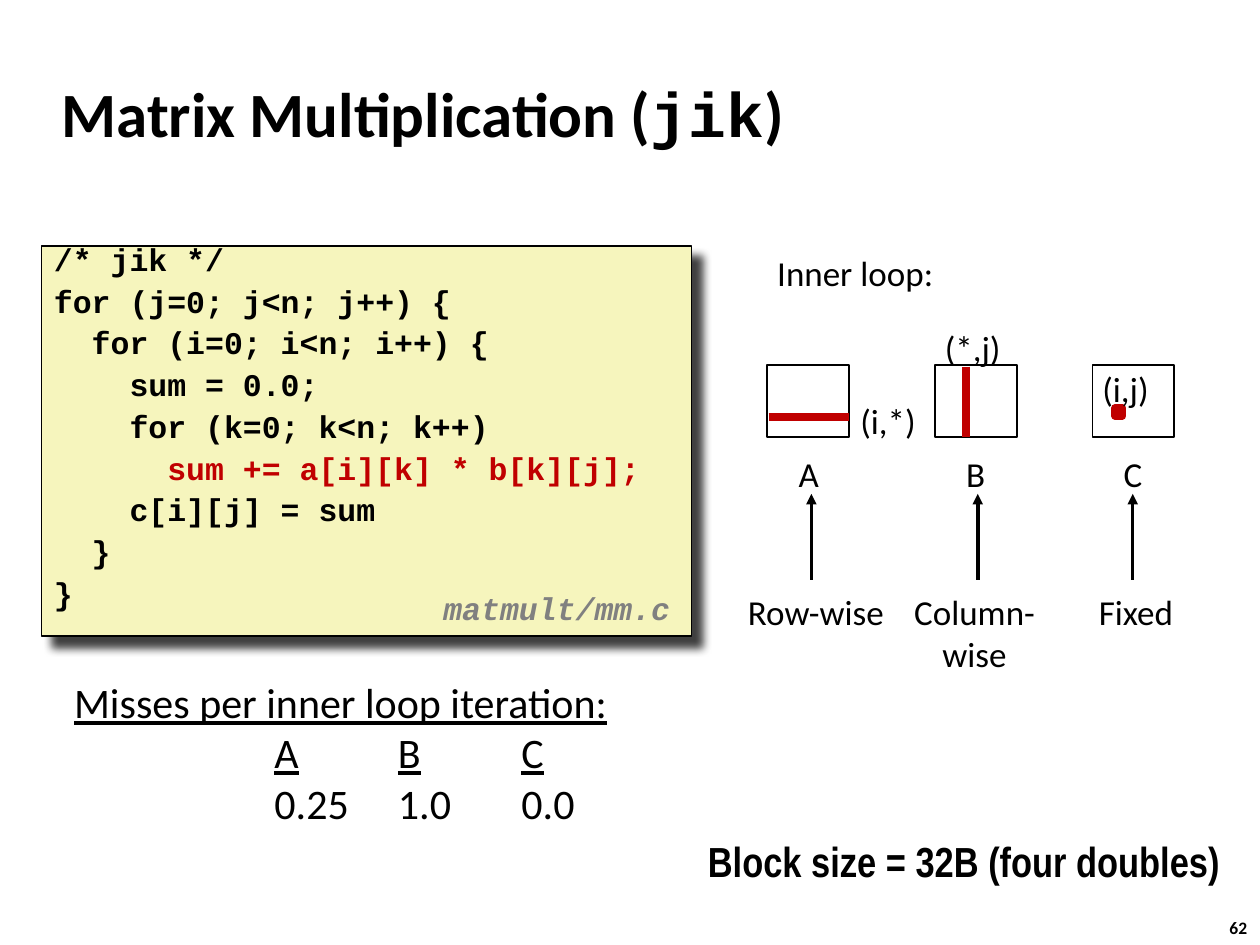
"""Build the slide on matrix multiplication in jik order."""
from pptx import Presentation, util as u
from pptx.dml import color
from pptx.enum import shapes, text
from pptx.oxml import ns, parse_xml

COLORS = {"black": "000000", "white": "FFFFFF", "cream": "F6F5BD",
          "red": "C00000", "bright": "FF0000", "gray": "808080"}
COLUMNS, ROWS = 100, 75
MONO = "Courier New"


class SlideBuilder:
    """Draw styled elements on a grid of columns and rows."""

    def __init__(self, presentation):
        self.slide = presentation.slides.add_slide(presentation.slide_layouts[6])
        self.column = presentation.slide_width / COLUMNS
        self.row = presentation.slide_height / ROWS

    def grid(self, *lengths):
        units = (self.column, self.row) * 2
        return [round(length * unit) for length, unit in zip(lengths, units)]

    def rgb(self, name):
        return color.RGBColor.from_string(COLORS[name])

    def style(self, run, size=20, font="Calibri", fill="black", bold=False,
              italic=False, underline=False):
        run.font.size, run.font.name = u.Pt(size), font
        run.font.bold, run.font.italic, run.font.underline = bold, italic, underline
        run.font.color.rgb = self.rgb(fill)

    def add_lines(self, frame, lines, align=text.PP_ALIGN.LEFT, spacing=None, before=0,
                  tabs=(), **style):
        for index, line in enumerate(lines):
            paragraph = frame.paragraphs[0] if index == 0 else frame.add_paragraph()
            paragraph.alignment = align
            if spacing:
                paragraph.line_spacing = spacing
            if index:
                paragraph.space_before = u.Pt(before)
            if tabs:
                stops = "".join(f'<a:tab pos="{round(tab * self.column)}" algn="l"/>'
                                for tab in tabs)
                paragraph._p.get_or_add_pPr().append(parse_xml(
                    f"<a:tabLst {ns.nsdecls('a')}>{stops}</a:tabLst>"))
            for words, changes in [(line, {})] if isinstance(line, str) else line:
                run = paragraph.add_run()
                run.text = words
                self.style(run, **{**style, **changes})

    def text(self, box, lines, wrap=False, anchor=text.MSO_ANCHOR.TOP, **style):
        frame = self.slide.shapes.add_textbox(*self.grid(*box)).text_frame
        frame.word_wrap, frame.vertical_anchor = wrap, anchor
        self.add_lines(frame, lines, **style)

    def rectangle(self, box, fill, line="black", width=1):
        shape = self.slide.shapes.add_shape(
            shapes.MSO_SHAPE.RECTANGLE, *self.grid(*box))
        shape.shadow.inherit = False
        shape.fill.solid()
        shape.fill.fore_color.rgb = self.rgb(fill)
        shape.line.color.rgb = self.rgb(line)
        shape.line.width = u.Pt(width)
        return shape

    def code(self, box, lines):
        shape = self.rectangle(box, "cream")
        effects = shape._element.spPr.find(ns.qn("a:effectLst"))
        effects.append(parse_xml(
            f'<a:outerShdw {ns.nsdecls("a")} blurRad="{u.Pt(5)}" dist="{u.Pt(8.5)}" '
            f'dir="2700000" algn="tl" rotWithShape="0"><a:srgbClr val="{COLORS["black"]}">'
            '<a:alpha val="75000"/></a:srgbClr></a:outerShdw>'))
        frame = shape.text_frame
        frame.word_wrap, frame.vertical_anchor = True, text.MSO_ANCHOR.TOP
        self.add_lines(frame, lines, spacing=0.65, before=9.8, size=18, font=MONO,
                       bold=True)

    def line(self, start, end, stroke, width, arrow=False):
        connector = self.slide.shapes.add_connector(
            shapes.MSO_CONNECTOR.STRAIGHT, *self.grid(*start, *end))
        connector.line.color.rgb = self.rgb(stroke)
        connector.line.width = u.Pt(width)
        if arrow:
            connector.line._get_or_add_ln().append(
                parse_xml(f'<a:tailEnd {ns.nsdecls("a")} type="triangle"/>'))
        connector._element.spPr.append(parse_xml(f"<a:effectLst {ns.nsdecls('a')}/>"))


def main():
    presentation = Presentation()
    presentation.slide_width, presentation.slide_height = u.Inches(10), u.Inches(7.5)
    builder = SlideBuilder(presentation)

    builder.text((3.9, 4.8, 83, 8.3),
                 [[("Matrix Multiplication (", {}), ("jik", {"font": MONO}), (")", {})]],
                 wrap=True, anchor=text.MSO_ANCHOR.MIDDLE, size=36, bold=True)
    builder.code((3.3, 19.5, 51.6, 31), [
        "/* jik */",
        "for (j=0; j<n; j++) {",
        "  for (i=0; i<n; i++) {",
        "    sum = 0.0;",
        "    for (k=0; k<n; k++)",
        [("      ", {}), ("sum += a[i][k] * b[k][j];", {"fill": "red"})],
        "    c[i][j] = sum",
        "  }",
        "}"])
    builder.text((34.2, 46.5, 20.8, 3.9), ["matmult/mm.c"], spacing=0.94, size=18,
                 font=MONO, fill="gray", bold=True, italic=True)

    matrices = [("A", 60.9, 64.4, ["Row-wise"], 58.3, 12.9),
                ("B", 74.2, 77.6, ["Column-", "wise"], 71.5, 11.7),
                ("C", 86.7, 89.9, ["Fixed"], 86.2, 7.9)]
    for name, left, arrow, access, access_left, access_width in matrices:
        builder.rectangle((left, 29, 6.5, 5.7), "white")
        builder.text((left + 1.5, 35.4, 3.5, 4.3), [name])
        builder.line((arrow, 46), (arrow, 39.2), "black", 2, arrow=True)
        builder.text((access_left, 46.4, access_width, 4.3 * len(access)), access,
                     align=text.PP_ALIGN.CENTER)

    builder.line((76.7, 29.1), (76.7, 34.7), "red", 4.5)
    builder.line((61, 33.1), (67.4, 33.1), "red", 4.5)
    builder.rectangle((88.5, 32.4, 0.6, 0.6), "bright", "red", 4.5)
    for words, left, top, width in [("Inner loop:", 60.7, 19.5, 14.5),
                                    ("(i,*)", 67.3, 31.2, 6.4),
                                    ("(*,j)", 74, 25.4, 6.5),
                                    ("(i,j)", 86.5, 28.7, 5.7)]:
        builder.text((left, top, width, 4.3), [words])

    underlined = {"underline": True}
    header = [part for gap, name in zip(("\t\t", "\t", "\t"), "ABC")
              for part in ((gap, {}), (name, underlined))]
    builder.text((4.9, 53.2, 59.6, 13.4),
                 [[("Misses per inner loop iteration:", underlined)],
                  header, "\t\t0.25\t1.0\t0.0"],
                 wrap=True, size=24, tabs=(6.1, 15.9, 25.7, 35.5))
    builder.text((55.2, 65.8, 44, 5), ["Block size = 32B (four doubles)"], wrap=True,
                 size=24, font="Arial Narrow", bold=True)
    builder.text((96.6, 72.3, 3.7, 2.7), ["62"], size=10, bold=True)
    presentation.save("out.pptx")


if __name__ == "__main__":
    main()
